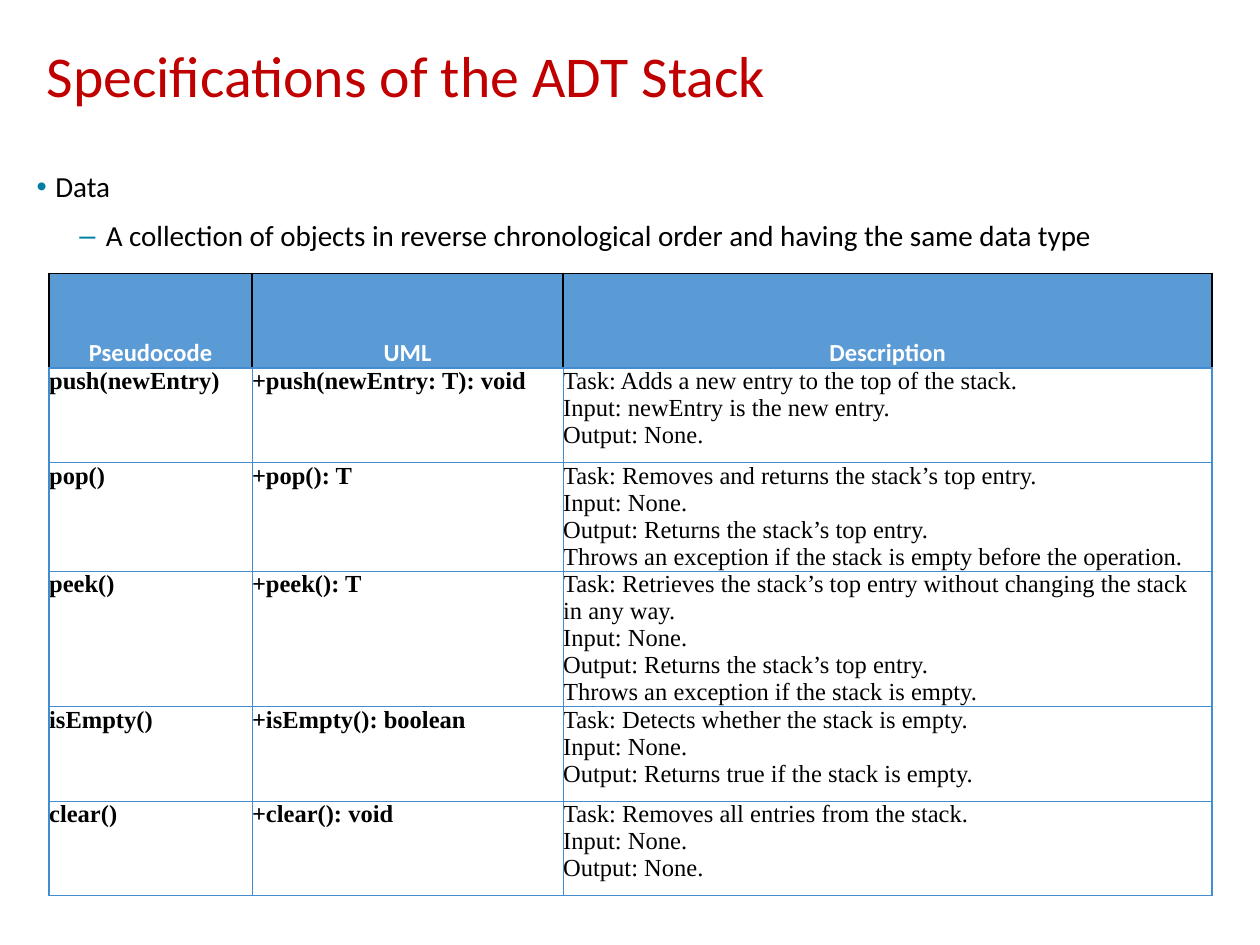
from lxml import etree
from pptx import Presentation
from pptx import util as u
from pptx.dml.color import RGBColor
from pptx.enum import text
from pptx.oxml import ns

ROWS = [
    ("push(newEntry)", "+push(newEntry: T): void",
     "Task: Adds a new entry to the top of the stack.\n"
     "Input: newEntry is the new entry. \nOutput: None."),
    ("pop()", "+pop(): T",
     "Task: Removes and returns the stack’s top entry.\nInput: None.\n"
     "Output: Returns the stack’s top entry.\n"
     "Throws an exception if the stack is empty before the operation."),
    ("peek()", "+peek(): T",
     "Task: Retrieves the stack’s top entry without changing the stack in any way. \n"
     "Input: None.\nOutput: Returns the stack’s top entry.\n"
     "Throws an exception if the stack is empty."),
    ("isEmpty()", "+isEmpty(): boolean",
     "Task: Detects whether the stack is empty. \nInput: None.\n"
     "Output: Returns true if the stack is empty."),
    ("clear()", "+clear(): void",
     "Task: Removes all entries from the stack. \nInput: None.\nOutput: None."),
]


def color(value):
    return RGBColor.from_string(value)


def add_xml(parent, tag, **attributes):
    return etree.SubElement(parent, ns.qn(tag), attributes)


class StackSlide:
    """Builds the stack specification slide in one style."""

    sans, serif = "Calibri", "Times New Roman"
    red, blue, line, teal = "C00000", "5B9BD5", "438CCF", "007FA3"
    black, white = "000000", "FFFFFF"
    thick, thin = 1, 0.25

    def __init__(self, deck):
        self.page = deck.slides.add_slide(deck.slide_layouts[1])

    def add_words(self, para, words, size, font, tint, bold=False):
        for index, part in enumerate(words.split("\n")):
            if index:
                para.add_line_break()
            span = para.add_run()
            span.text = part
            span.font.size = u.Pt(size)
            span.font.name = font
            span.font.bold = bold
            span.font.color.rgb = color(tint)

    def place(self, box, left, top, width, height, anchor):
        box.left, box.top = u.Inches(left), u.Inches(top)
        box.width, box.height = u.Inches(width), u.Inches(height)
        frame = box.text_frame
        frame.auto_size = text.MSO_AUTO_SIZE.NONE
        frame.word_wrap = True
        frame.vertical_anchor = anchor
        frame.margin_left = frame.margin_right = u.Inches(0.1)
        frame.margin_top = frame.margin_bottom = u.Inches(0.1)
        return frame

    def title(self, words):
        frame = self.place(self.page.shapes.title, 0.27, 0.23, 9.32, 0.84,
                           text.MSO_ANCHOR.MIDDLE)
        frame.margin_bottom = u.Inches(0.15)
        para = frame.paragraphs[0]
        para.alignment = text.PP_ALIGN.LEFT
        para.line_spacing = 0.9
        self.add_words(para, words, 33, self.sans, self.red)

    def bullets(self, items):
        frame = self.place(self.page.placeholders[1], 0.11, 1.27, 9.64, 0.9,
                           text.MSO_ANCHOR.TOP)
        styles = [("•", 0.23, -0.15), ("–", 0.63, -0.21)]
        for index, (level, words) in enumerate(items):
            para = frame.add_paragraph() if index else frame.paragraphs[0]
            para.level = level
            para.line_spacing = 0.9
            para.space_before = u.Pt(10)
            mark, margin, indent = styles[level]
            props = para._p.get_or_add_pPr()
            props.set("marL", str(u.Inches(margin)))
            props.set("indent", str(u.Inches(indent)))
            add_xml(add_xml(props, "a:buClr"), "a:srgbClr", val=self.teal)
            add_xml(props, "a:buFont", typeface="Arial")
            add_xml(props, "a:buChar", char=mark)
            self.add_words(para, words, 16.6, self.sans, self.black)

    def border(self, cell, side, tint, width):
        edge = add_xml(cell._tc.get_or_add_tcPr(), f"a:ln{side}", w=str(u.Pt(width)))
        add_xml(add_xml(edge, "a:solidFill"), "a:srgbClr", val=tint)

    def cell_borders(self, cell, row, column, last_row, last_column):
        header = row == 0
        outer = {"L": column == 0, "R": column == last_column,
                 "T": row <= 1, "B": row in (0, last_row)}
        for side, is_outer in outer.items():
            tint = self.black if header and side != "B" else self.line
            self.border(cell, side, tint, self.thick if header or is_outer else self.thin)

    def table(self, header, rows):
        grid = [header] + rows
        widths = [1.61, 2.47, 5.15]
        height = 0.75
        table = self.page.shapes.add_table(
            len(grid), len(widths), u.Inches(0.39), u.Inches(2.17),
            u.Inches(sum(widths)), u.Inches(height * len(grid))).table
        table.horz_banding = False
        for column, width in zip(table.columns, widths):
            column.width = u.Inches(width)
        for row, entries in enumerate(grid):
            table.rows[row].height = u.Inches(height)
            for column, words in enumerate(entries):
                cell = table.cell(row, column)
                cell.margin_left = cell.margin_right = 0
                cell.margin_top = cell.margin_bottom = 0
                self.cell_borders(cell, row, column, len(rows), len(widths) - 1)
                para = cell.text_frame.paragraphs[0]
                if row == 0:
                    cell.vertical_anchor = text.MSO_ANCHOR.BOTTOM
                    cell.fill.solid()
                    cell.fill.fore_color.rgb = color(self.blue)
                    para.alignment = text.PP_ALIGN.CENTER
                    self.add_words(para, words, 14, self.sans, self.white, True)
                else:
                    cell.fill.background()
                    self.add_words(para, words, 14, self.serif, self.black, column < 2)


def main():
    deck = Presentation()
    deck.slide_width, deck.slide_height = u.Inches(10), u.Inches(7.5)
    slide = StackSlide(deck)
    slide.title("Specifications of the ADT Stack")
    slide.table(("Pseudocode", "UML", "Description"), ROWS)
    slide.bullets([
        (0, "Data"),
        (1, "A collection of objects in reverse chronological order"
            " and having the same data type"),
    ])
    deck.save("out.pptx")


if __name__ == "__main__":
    main()
